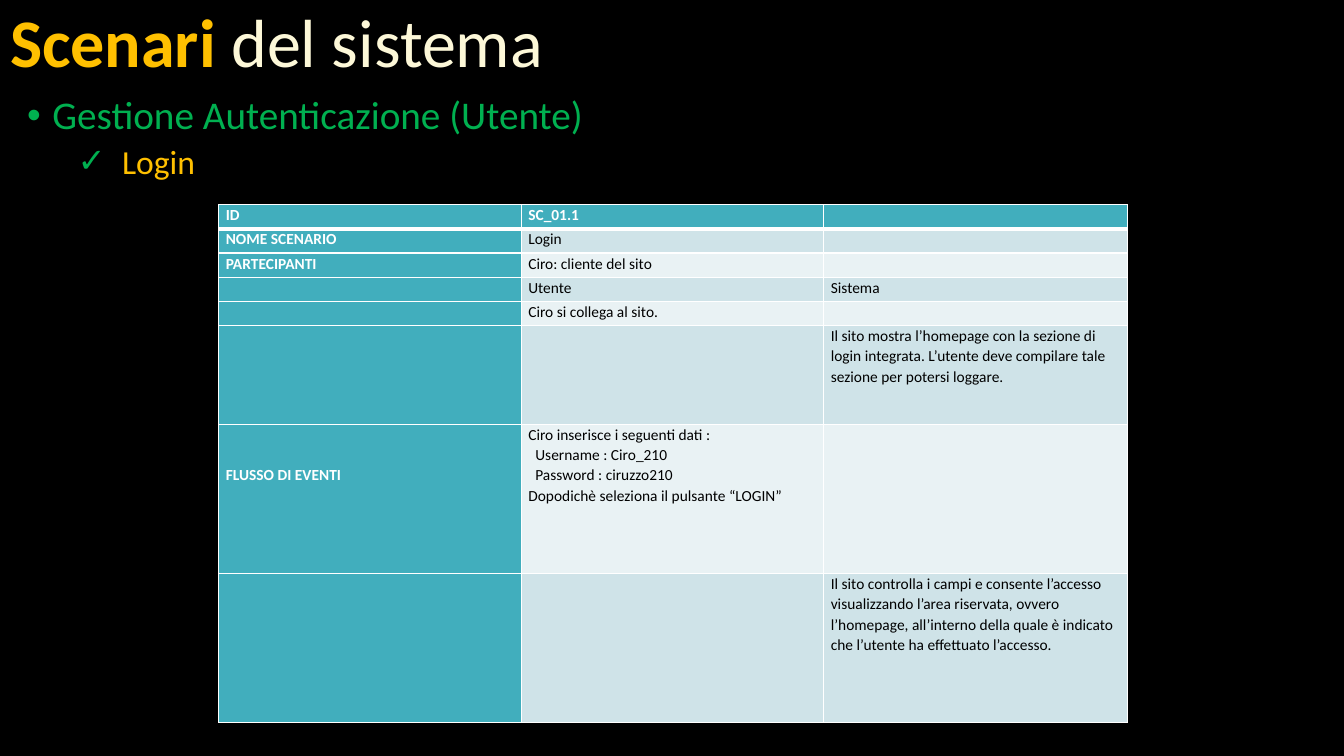
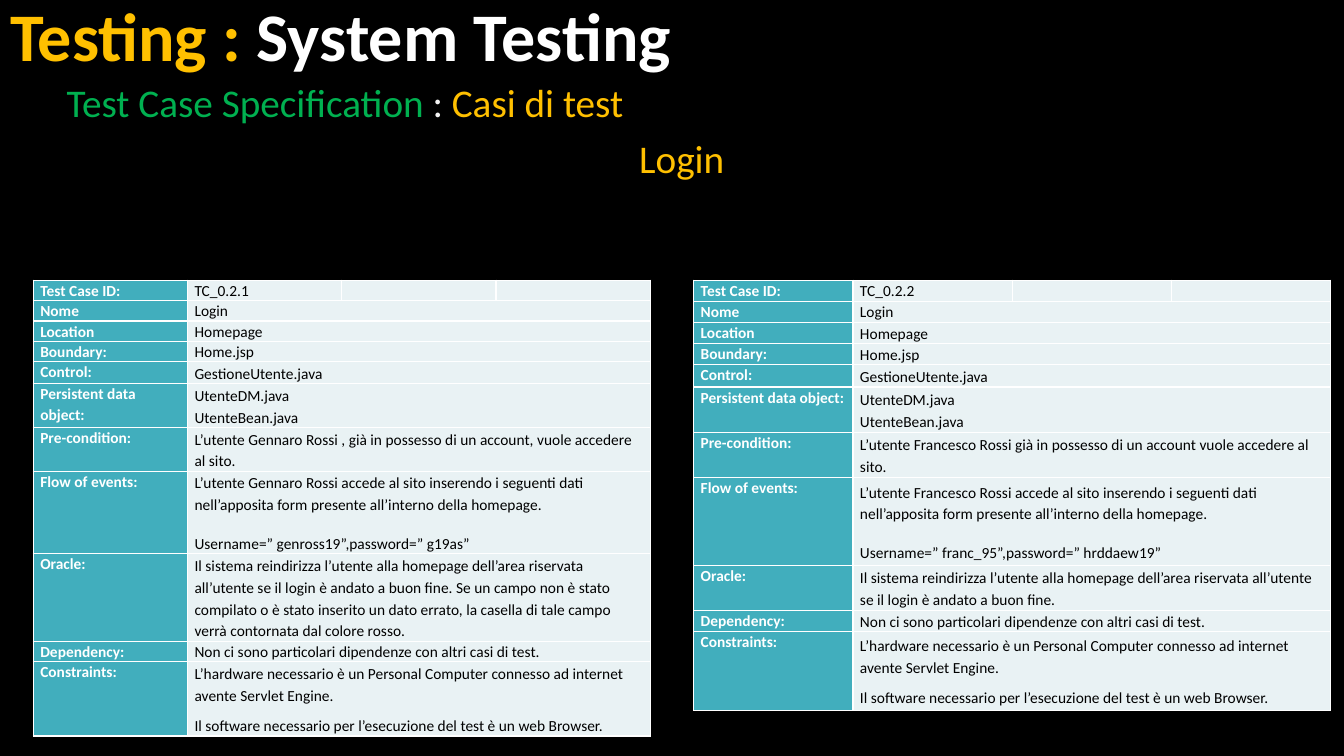
from collections import namedtuple
from dataclasses import dataclass

from lxml import etree
from pptx import Presentation
from pptx.dml.color import RGBColor
from pptx.enum.text import MSO_ANCHOR, MSO_AUTO_SIZE, PP_ALIGN
from pptx.oxml.ns import qn
from pptx.util import Inches, Pt


@dataclass(frozen=True)
class Theme:
    font: str = "Calibri"
    background: str = "000000"
    accent: str = "FFC000"
    green: str = "00B050"
    cream: str = "FDF8D8"
    white: str = "FFFFFF"
    pale: str = "F2F2F2"
    black: str = "000000"
    label_fill: str = "41AEBD"
    band_dark: str = "CFE3E8"
    band_light: str = "E9F2F4"
    title_size: float = 48.6
    body_size: float = 28
    item_size: float = 24
    table_size: float = 11
    border: float = 1
    header_border: float = 3


THEME = Theme()

# Line spacing, points before and points after
Spacing = namedtuple("Spacing", "lines before after")
TITLE = Spacing(0.9, 0, 0)
BODY = Spacing(0.9, 10, 0)
ITEM = Spacing(0.9, 5, 0)
PLAIN = Spacing(1.07, 0, 0)
FIELD = Spacing(1.07, 6, 6)
CODE = Spacing(1.15, 0, 0)
PROSE = Spacing(1.15, 6, 6)

Run = namedtuple("Run", "text color bold", defaults=(False,))
Line = namedtuple("Line", "text spacing indent", defaults=(PLAIN, 0))


class Deck:
    """Holds the theme, the presentation and the current slide."""

    def __init__(self, theme):
        self.theme = theme
        self.presentation = Presentation()
        self.presentation.slide_width = Inches(13.33)
        self.presentation.slide_height = Inches(7.5)
        fill = self.presentation.slide_master.background.fill
        fill.solid()
        fill.fore_color.rgb = RGBColor.from_string(theme.background)
        self.slide = None

    def add_slide(self):
        layout = self.presentation.slide_layouts[1]
        self.slide = self.presentation.slides.add_slide(layout)

    # Text
    def add_text(self, paragraph, runs, size, spacing, align=PP_ALIGN.LEFT):
        paragraph.alignment = align
        paragraph.line_spacing = spacing.lines
        paragraph.space_before = Pt(spacing.before)
        paragraph.space_after = Pt(spacing.after)
        for item in runs:
            run = paragraph.add_run()
            run.text = item.text
            run.font.name = self.theme.font
            run.font.size = Pt(size)
            run.font.bold = item.bold
            run.font.color.rgb = RGBColor.from_string(item.color)

    def indent(self, paragraph, left, first=0):
        properties = paragraph._p.get_or_add_pPr()
        properties.set("marL", str(Inches(left)))
        properties.set("indent", str(Inches(first)))
        return properties

    def bullet(self, paragraph, left, first=0, mark=None):
        properties = self.indent(paragraph, left, first)
        if mark is None:
            etree.SubElement(properties, qn("a:buNone"))
            return
        color = etree.SubElement(properties, qn("a:buClr"))
        etree.SubElement(color, qn("a:srgbClr"), val=self.theme.green)
        etree.SubElement(properties, qn("a:buChar"), char=mark)

    def place(self, shape, left, top, width, height, anchor):
        shape.left, shape.top = Inches(left), Inches(top)
        shape.width, shape.height = Inches(width), Inches(height)
        frame = shape.text_frame
        frame.word_wrap = True
        frame.auto_size = MSO_AUTO_SIZE.NONE
        frame.vertical_anchor = anchor
        return frame

    def title(self, runs, width, height):
        frame = self.place(self.slide.shapes.title, 0, 0, width, height, MSO_ANCHOR.MIDDLE)
        self.add_text(frame.paragraphs[0], runs, self.theme.title_size, TITLE)

    def body(self, left, top, width, height):
        shape = self.slide.placeholders[1]
        return self.place(shape, left, top, width, height, MSO_ANCHOR.TOP)

    # Tables
    def table(self, left, top, widths, heights):
        frame = self.slide.shapes.add_table(
            len(heights), len(widths), Inches(left), Inches(top),
            Inches(sum(widths)), Inches(sum(heights)))
        table = frame.table
        table.first_row = table.horz_banding = False
        for column, width in zip(table.columns, widths):
            column.width = Inches(width)
        for row, height in zip(table.rows, heights):
            row.height = Inches(height)
        return table

    def cell(self, cell, lines, fill, label=False, anchor=MSO_ANCHOR.TOP,
             top_border=None, bottom_border=None, top_margin=0):
        theme = self.theme
        cell.margin_left = cell.margin_right = Inches(0.07)
        cell.margin_top, cell.margin_bottom = Inches(top_margin), 0
        cell.vertical_anchor = anchor
        borders = {"a:lnL": None, "a:lnR": None, "a:lnT": top_border, "a:lnB": bottom_border}
        for tag, width in borders.items():
            line = etree.SubElement(cell._tc.get_or_add_tcPr(), qn(tag),
                                    w=str(Pt(width or theme.border)))
            solid = etree.SubElement(line, qn("a:solidFill"))
            etree.SubElement(solid, qn("a:srgbClr"), val=theme.white)
        cell.fill.solid()
        cell.fill.fore_color.rgb = RGBColor.from_string(fill)

        frame = cell.text_frame
        color = theme.white if label else theme.black
        for number, line in enumerate(lines):
            paragraph = frame.add_paragraph() if number else frame.paragraphs[0]
            self.add_text(paragraph, [Run(line.text, color, label)],
                          theme.table_size, line.spacing)
            if line.indent:
                self.indent(paragraph, line.indent)
        if not lines:
            # An empty cell keeps the table's type size, so its row stays low
            etree.SubElement(frame.paragraphs[0]._p, qn("a:endParaRPr"),
                             sz=str(int(theme.table_size * 100)))

    def scenario_table(self, left, top, widths, heights, rows):
        theme = self.theme
        table = self.table(left, top, widths, heights)
        for r, row in enumerate(rows):
            band = theme.band_dark if r % 2 else theme.band_light
            for c, lines in enumerate(row):
                label = r == 0 or c == 0
                self.cell(
                    table.cell(r, c), lines, theme.label_fill if label else band, label,
                    top_border=theme.header_border if r == 1 else None,
                    bottom_border=theme.header_border if r == 0 else None,
                    top_margin=0.4 if r == FLOW_ROW and c == 0 else 0)

    def test_case_table(self, left, top, column_width, heights, fields):
        theme = self.theme
        table = self.table(left, top, [column_width] * 4, heights)
        for r, (name, lines) in enumerate(fields):
            self.cell(table.cell(r, 0), [Line(name, FIELD)], theme.label_fill, True)
            for c in range(1, 4):
                self.cell(table.cell(r, c), lines if c == 1 else [], theme.band_light,
                          anchor=MSO_ANCHOR.MIDDLE)
            if r:
                table.cell(r, 1).merge(table.cell(r, 3))


# Content
FLOW_ROW = 6
SCENARIO = [
    [[Line("ID")], [Line("SC_01.1")], []],
    [[Line("NOME SCENARIO")], [Line("Login")], []],
    [[Line("PARTECIPANTI")], [Line("Ciro: cliente del sito")], []],
    [[], [Line("Utente")], [Line("Sistema")]],
    [[], [Line("Ciro si collega al sito.")], []],
    [[], [], [Line("Il sito mostra l’homepage con la sezione di login integrata. "
                   "L’utente deve compilare tale sezione per potersi loggare.")]],
    [[Line("FLUSSO DI EVENTI")],
     [Line("Ciro inserisce i seguenti dati :"),
      Line("Username : Ciro_210", indent=0.07),
      Line("Password : ciruzzo210", indent=0.07),
      Line("Dopodichè seleziona il pulsante “LOGIN”")], []],
    [[], [], [Line("Il sito controlla i campi e consente l’accesso visualizzando l’area "
                   "riservata, ovvero l’homepage, all’interno della quale è indicato che "
                   "l’utente ha effettuato l’accesso.")]],
]


def test_case(number, user, condition, credentials, oracle_end=""):
    return [
        ("Test Case ID:", [Line(number, FIELD)]),
        ("Nome", [Line("Login", FIELD)]),
        ("Location", [Line("Homepage", FIELD)]),
        ("Boundary:", [Line("Home.jsp", FIELD)]),
        ("Control:", [Line("GestioneUtente.java", CODE)]),
        ("Persistent data object:", [Line("UtenteDM.java", CODE), Line("UtenteBean.java", CODE)]),
        ("Pre-condition:", [Line(f"L’utente {user} {condition}", PROSE)]),
        ("Flow of events:", [
            Line(f"L’utente {user} accede al sito inserendo i seguenti dati nell’apposita "
                 "form presente all’interno della homepage.", PROSE),
            Line(credentials, PROSE)]),
        ("Oracle:", [Line("Il sistema reindirizza l’utente alla homepage dell’area riservata "
                          "all’utente se il login è andato a buon fine." + oracle_end, PROSE)]),
        ("Dependency:", [
            Line("Non ci sono particolari dipendenze con altri casi di test.", FIELD)]),
        ("Constraints:", [
            Line("L’hardware necessario è un Personal Computer connesso ad internet "
                 "avente Servlet Engine.", CODE),
            Line("Il software necessario per l’esecuzione del test è un web Browser.", PROSE)]),
    ]


def scenario_slide(deck):
    theme = deck.theme
    deck.add_slide()
    deck.title([Run("Scenari ", theme.accent, True), Run("del sistema", theme.cream)], 12.12, 0.9)
    frame = deck.body(0.17, 0.9, 13.02, 6.6)
    heading = frame.paragraphs[0]
    deck.add_text(heading, [Run("Gestione Autenticazione (Utente)", theme.green)],
                  theme.body_size, BODY)
    deck.bullet(heading, 0.25, -0.25, "•")
    item = frame.add_paragraph()
    item.level = 1
    deck.add_text(item, [Run("Login", theme.accent)], theme.item_size, ITEM)
    deck.bullet(item, 0.94, -0.44, "✓")
    deck.scenario_table(2.17, 2.03, [3, 3, 3.01], [0.24] * 5 + [0.98, 1.48, 1.48], SCENARIO)


def testing_slide(deck):
    theme = deck.theme
    deck.add_slide()
    deck.title([Run("Testing : ", theme.accent, True),
                Run("System Testing", theme.white, True)], 13.21, 0.78)
    frame = deck.body(0.56, 0.78, 12.65, 6.14)
    heading = frame.paragraphs[0]
    deck.add_text(heading, [Run("Test Case Specification ", theme.green), Run(": ", theme.pale),
                            Run("Casi di test", theme.accent)],
                  theme.body_size, BODY, PP_ALIGN.JUSTIFY)
    deck.bullet(heading, 0)
    subject = frame.add_paragraph()
    deck.add_text(subject, [Run("Login", theme.accent)], theme.body_size, BODY, PP_ALIGN.JUSTIFY)
    deck.bullet(subject, 5.68)

    deck.test_case_table(
        0.33, 2.78, 1.53, [0.2] * 4 + [0.22, 0.43, 0.43, 0.82, 0.86, 0.2, 0.74],
        test_case("TC_0.2.1", "Gennaro Rossi",
                  ", già in possesso di un account, vuole accedere al sito.",
                  "Username=” genross19”,password=” g19as”",
                  " Se un campo non è stato compilato o è stato inserito un dato errato, "
                  "la casella di tale campo verrà contornata dal colore rosso."))
    deck.test_case_table(
        6.88, 2.78, 1.58, [0.21] * 4 + [0.22, 0.45, 0.45, 0.87, 0.45, 0.21, 0.78],
        test_case("TC_0.2.2", "Francesco Rossi",
                  "già in possesso di un account vuole accedere al sito.",
                  "Username=” franc_95”,password=” hrddaew19”"))


def main():
    deck = Deck(THEME)
    scenario_slide(deck)
    testing_slide(deck)
    deck.presentation.save("out.pptx")


if __name__ == "__main__":
    main()
